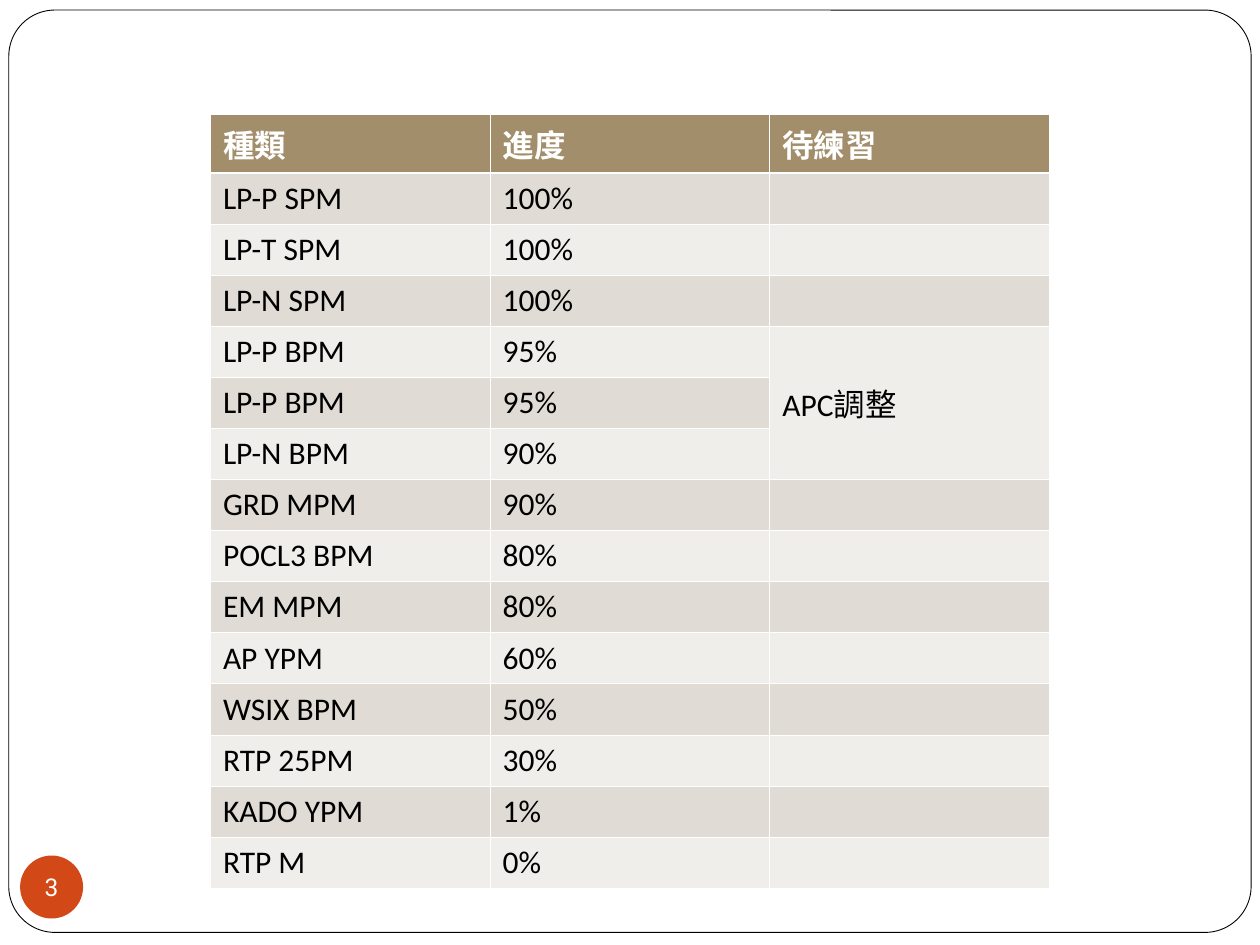
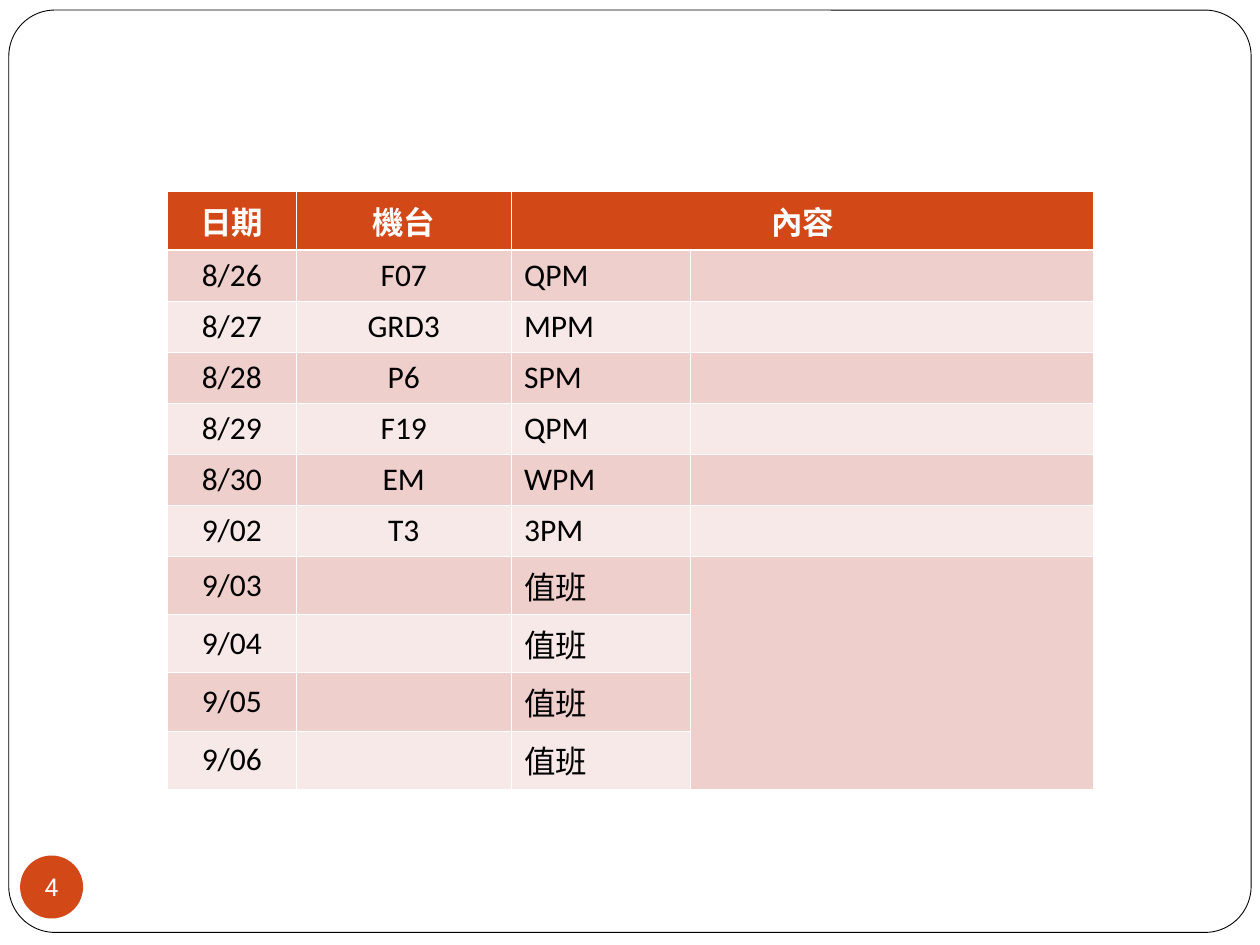
from dataclasses import dataclass

from lxml import etree
from pptx import Presentation
from pptx.dml.color import RGBColor
from pptx.enum.shapes import MSO_SHAPE
from pptx.enum.text import MSO_ANCHOR, PP_ALIGN
from pptx.oxml.ns import qn
from pptx.util import Inches, Pt

ROUND_RECT, OVAL = MSO_SHAPE.ROUNDED_RECTANGLE, MSO_SHAPE.OVAL
LEFT, CENTER = PP_ALIGN.LEFT, PP_ALIGN.CENTER
TOP, MIDDLE = MSO_ANCHOR.TOP, MSO_ANCHOR.MIDDLE


@dataclass(frozen=True)
class Theme:
    white: str = "FFFFFF"
    black: str = "000000"
    accent: str = "D34817"
    # Table palettes: header, odd rows, even rows
    tan: tuple = ("A28E6A", "E0DBD4", "F0EEEB")
    orange: tuple = ("D34817", "EFCFCC", "F7E9E7")
    table_font: str = "Calibri"
    number_font: str = "Roboto"
    table_size: int = 18
    number_size: int = 14
    thin: float = 0.45
    thick: float = 1.47
    row_height: float = 0.405


class Deck:
    def __init__(self, theme):
        self.theme = theme
        self.prs = Presentation()
        self.prs.slide_width, self.prs.slide_height = Inches(10), Inches(7.5)
        self.slide = None

    def new_slide(self, number):
        self.slide = self.prs.slides.add_slide(self.prs.slide_layouts[6])
        self.frame()
        self.page_number(number)

    def shape(self, kind, x, y, w, h, fill):
        sp = self.slide.shapes.add_shape(kind, Inches(x), Inches(y), Inches(w), Inches(h))
        sp.shadow.inherit = False
        sp.fill.solid()
        sp.fill.fore_color.rgb = RGBColor.from_string(fill)
        return sp

    def frame(self):
        sp = self.shape(ROUND_RECT, 0.07, 0.08, 9.86, 7.32, self.theme.white)
        sp.adjustments[0] = 0.05
        sp.line.color.rgb = RGBColor.from_string(self.theme.black)
        sp.line.width = Pt(0.5)

    def page_number(self, number):
        sp = self.shape(OVAL, 0.16, 6.79, 0.5, 0.5, self.theme.accent)
        sp.line.fill.background()
        tf = sp.text_frame
        tf.margin_left = tf.margin_right = tf.margin_top = tf.margin_bottom = 0
        tf.word_wrap = False
        tf.vertical_anchor = MIDDLE
        p = tf.paragraphs[0]
        p.text = str(number)
        self.style(p, self.theme.number_font, self.theme.number_size, self.theme.white, CENTER)

    def style(self, p, font, size, color, align, bold=False):
        p.alignment = align
        p.font.name, p.font.size, p.font.bold = font, Pt(size), bold
        p.font.color.rgb = RGBColor.from_string(color)

    def borders(self, cell, top, bottom):
        widths = {"a:lnL": self.theme.thin, "a:lnR": self.theme.thin, "a:lnT": top, "a:lnB": bottom}
        tc_pr = cell._tc.get_or_add_tcPr()
        for i, (tag, width) in enumerate(widths.items()):
            ln = etree.Element(qn(tag), w=str(Pt(width)))
            fill = etree.SubElement(ln, qn("a:solidFill"))
            etree.SubElement(fill, qn("a:srgbClr"), val=self.theme.white)
            tc_pr.insert(i, ln)

    def table(self, x, y, col_widths, rows, palette, aligns, anchor, merges):
        """Draw rows, the first as header; merges holds pairs of corner cells."""
        th = self.theme
        table = self.slide.shapes.add_table(
            len(rows), len(col_widths), Inches(x), Inches(y),
            Inches(sum(col_widths)), Inches(th.row_height * len(rows))).table
        table.horz_banding = False
        for col, width in zip(table.columns, col_widths):
            col.width = Inches(width)
        for r, values in enumerate(rows):
            header = r == 0
            fill = palette[0] if header else palette[2 - r % 2]
            for c, align in enumerate(aligns):
                cell = table.cell(r, c)
                cell.fill.solid()
                cell.fill.fore_color.rgb = RGBColor.from_string(fill)
                cell.vertical_anchor = anchor
                self.borders(cell, th.thick if r == 1 else th.thin,
                             th.thick if header else th.thin)
                p = cell.text_frame.paragraphs[0]
                if c < len(values):
                    p.text = values[c]
                self.style(p, th.table_font, th.table_size,
                           th.white if header else th.black,
                           CENTER if header and CENTER in aligns else align, header)
        for start, end in merges:
            table.cell(*start).merge(table.cell(*end))
        return table


# Slide data
PROGRESS = [
    ("種類", "進度", "待練習"),
    ("LP-P SPM", "100%"),
    ("LP-T SPM", "100%"),
    ("LP-N SPM", "100%"),
    ("LP-P BPM", "95%", "APC調整"),
    ("LP-P BPM", "95%"),
    ("LP-N BPM", "90%"),
    ("GRD MPM", "90%"),
    ("POCL3 BPM", "80%"),
    ("EM MPM", "80%"),
    ("AP YPM", "60%"),
    ("WSIX BPM", "50%"),
    ("RTP 25PM", "30%"),
    ("KADO YPM", "1%"),
    ("RTP M", "0%"),
]
SCHEDULE = [
    ("日期", "機台", "內容"),
    ("8/26", "F07", "QPM"),
    ("8/27", "GRD3", "MPM"),
    ("8/28", "P6", "SPM"),
    ("8/29", "F19", "QPM"),
    ("8/30", "EM", "WPM"),
    ("9/02", "T3", "3PM"),
    *((f"9/0{day}", "", "值班") for day in range(3, 7)),
]


def main():
    theme = Theme()
    deck = Deck(theme)

    # Training progress
    deck.new_slide(3)
    progress = deck.table(1.67, 0.91, [2.22] * 3, PROGRESS, theme.tan,
                          [LEFT] * 3, TOP, [((4, 2), (6, 2))])
    progress.cell(4, 2).vertical_anchor = MIDDLE

    # Work schedule
    deck.new_slide(4)
    deck.table(1.33, 1.52, [1.02, 1.71, 1.42, 3.2], SCHEDULE, theme.orange,
               [CENTER, CENTER, LEFT, LEFT], MIDDLE,
               [((0, 2), (0, 3)), ((7, 3), (10, 3))])

    deck.prs.save("out.pptx")


if __name__ == "__main__":
    main()
